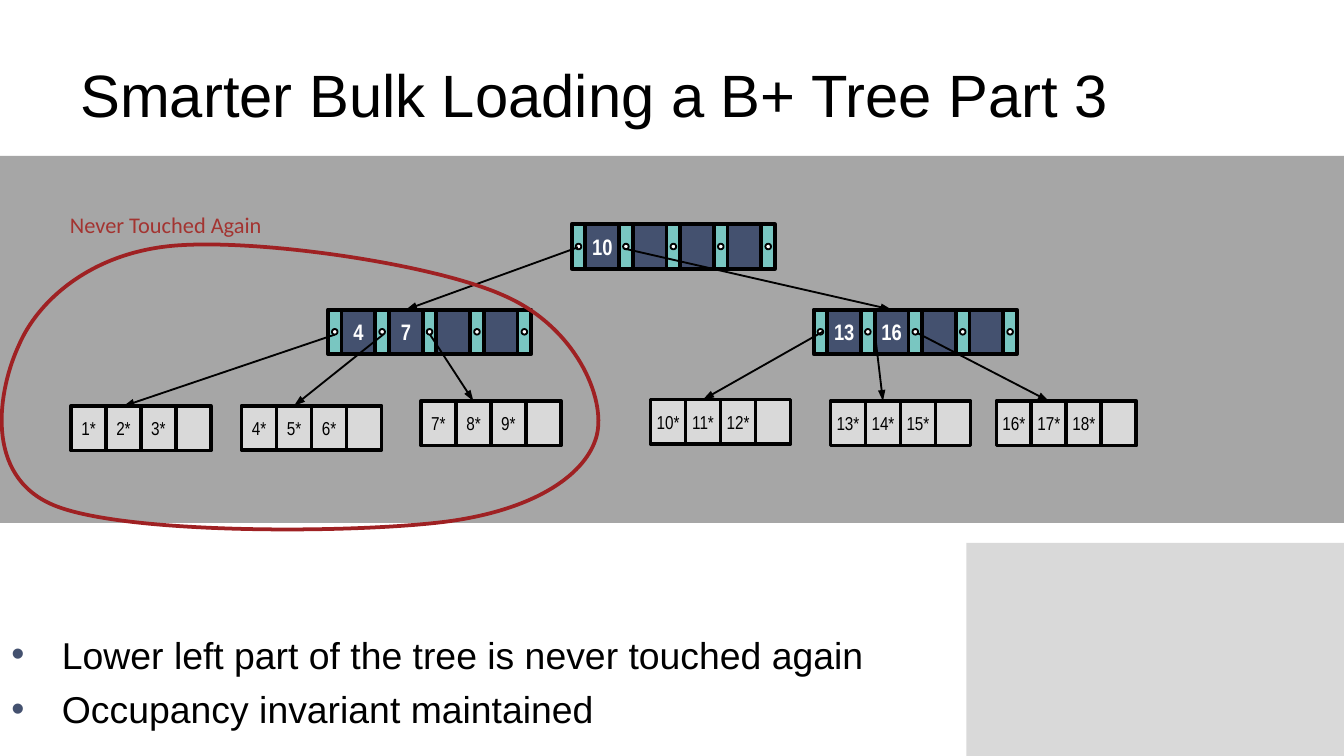
from lxml import etree
from pptx import Presentation
from pptx import util as u
from pptx.dml.color import RGBColor
from pptx.enum import shapes, text
from pptx.oxml import ns

BLACK = RGBColor(0x00, 0x00, 0x00)
WHITE = RGBColor(0xFF, 0xFF, 0xFF)
BAND_GREY = RGBColor(0xA6, 0xA6, 0xA6)
LIGHT_GREY = RGBColor(0xD9, 0xD9, 0xD9)
NAVY = RGBColor(0x44, 0x51, 0x6F)
TEAL = RGBColor(0x79, 0xC6, 0xC1)
LOOP_RED = RGBColor(0x9F, 0x21, 0x23)
LABEL_RED = RGBColor(0xA3, 0x34, 0x31)

CELL_HEIGHT = 23.8
KEY_WIDTH = 18.1
POINTER_WIDTH = 7.3
NODE_PITCH = KEY_WIDTH + POINTER_WIDTH
LEAF_WIDTH = 18.75
DOT_SIZE = 3

NODES = {
    "root": (306.3, 120.2, ["10"]),
    "left": (175.7, 165.9, ["4", "7"]),
    "right": (435.9, 165.9, ["13", "16"]),
}
LEAVES = [
    (38, 217.6, 1),
    (129.4, 217.4, 4),
    (225.5, 214.9, 7),
    (348.5, 214.1, 10),
    (444.9, 214.9, 13),
    (533.8, 214.9, 16),
]
LOOP_FRAME = (0.7, 131, 320.4, 152.6)
LOOP_START = (91.4, 131.8)
LOOP_CURVES = [
    [(135.4, 127.4), (231.8, 141.1), (270, 158.4)],
    [(308.2, 175), (324.7, 213.1), (319.7, 233.3)],
    [(314.6, 253.4), (288, 272.9), (239.8, 279.4)],
    [(191.5, 285.8), (67, 286.6), (28.8, 270.7)],
    [(-9.4, 254.9), (-0.7, 208.1), (10.1, 185)],
    [(20.2, 161.3), (48.2, 136.1), LOOP_START],
]


def add_shape(page, kind, left, top, width, height, fill, line_width=0):
    shape = page.shapes.add_shape(kind, u.Pt(left), u.Pt(top), u.Pt(width), u.Pt(height))
    shape.shadow.inherit = False
    shape.fill.solid()
    shape.fill.fore_color.rgb = fill
    if line_width:
        shape.line.color.rgb = BLACK
        shape.line.width = u.Pt(line_width)
    else:
        shape.line.fill.background()
    return shape


def style(para, font_name, size, color, bold=False):
    para.font.name = font_name
    para.font.size = u.Pt(size)
    para.font.color.rgb = color
    para.font.bold = bold


def add_cell(page, left, top, width, fill, label="", size=10, color=BLACK, bold=False):
    cell = add_shape(page, shapes.MSO_SHAPE.RECTANGLE, left, top, width, CELL_HEIGHT, fill, 2)
    if label:
        frame = cell.text_frame
        frame.margin_left = frame.margin_right = 0
        frame.vertical_anchor = text.MSO_ANCHOR.MIDDLE
        para = frame.paragraphs[0]
        para.text = label
        para.alignment = text.PP_ALIGN.CENTER
        style(para, "Arial Narrow", size, color, bold)
    return cell


def add_node(page, left, top, labels):
    keys = []
    for index in range(4):
        label = labels[index] if index < len(labels) else ""
        key_left = left + POINTER_WIDTH + index * NODE_PITCH
        keys.append(add_cell(page, key_left, top, KEY_WIDTH, NAVY, label, 12, WHITE, True))
    for index in range(5):
        pointer_left = left + index * NODE_PITCH
        add_cell(page, pointer_left, top, POINTER_WIDTH, TEAL)
        add_shape(page, shapes.MSO_SHAPE.OVAL,
                  pointer_left + (POINTER_WIDTH - DOT_SIZE) / 2,
                  top + (CELL_HEIGHT - DOT_SIZE) / 2,
                  DOT_SIZE, DOT_SIZE, WHITE, 1)
    return keys


def add_leaf(page, left, top, first):
    labels = [f"{first + index}*" for index in range(3)] + [""]
    return [add_cell(page, left + index * LEAF_WIDTH, top, LEAF_WIDTH, LIGHT_GREY, label)
            for index, label in enumerate(labels)]


def add_arrow(page, start, target):
    x, y = u.Pt(start[0]), u.Pt(start[1])
    arrow = page.shapes.add_connector(shapes.MSO_CONNECTOR.STRAIGHT, x, y, x, y)
    arrow.end_connect(target, 0)
    arrow.line.color.rgb = BLACK
    arrow.line.width = u.Pt(1)
    etree.SubElement(arrow.line._get_or_add_ln(), ns.qn("a:tailEnd"),
                     type="triangle", w="sm", len="med")
    etree.SubElement(arrow._element.spPr, ns.qn("a:effectLst"))
    return arrow


def add_text(page, left, top, width, height, anchor, lines, wrap=True):
    box = page.shapes.add_textbox(u.Pt(left), u.Pt(top), u.Pt(width), u.Pt(height))
    frame = box.text_frame
    frame.word_wrap = wrap
    frame.vertical_anchor = anchor
    frame.text = "\n".join(lines)
    return frame


def add_bullet(para):
    props = para._p.get_or_add_pPr()
    props.set("marL", str(u.Pt(27)))
    props.set("indent", str(u.Pt(-27)))
    color = etree.SubElement(props, ns.qn("a:buClr"))
    etree.SubElement(color, ns.qn("a:srgbClr"), val=str(NAVY))
    etree.SubElement(props, ns.qn("a:buFont"), typeface="Arial")
    etree.SubElement(props, ns.qn("a:buChar"), char="•")


def bend_outline(outline, left, top):
    for segment, points in zip(outline.findall(ns.qn("a:lnTo")), LOOP_CURVES):
        curve = etree.Element(ns.qn("a:cubicBezTo"))
        for x, y in points:
            etree.SubElement(curve, ns.qn("a:pt"), x=str(u.Pt(x - left)), y=str(u.Pt(y - top)))
        outline.replace(segment, curve)
    start = outline.find(ns.qn("a:moveTo")).find(ns.qn("a:pt"))
    start.set("x", str(u.Pt(LOOP_START[0] - left)))
    start.set("y", str(u.Pt(LOOP_START[1] - top)))


def add_loop(page):
    left, top, width, height = LOOP_FRAME
    builder = page.shapes.build_freeform(*LOOP_START, scale=u.Pt(1))
    builder.add_line_segments([points[-1] for points in LOOP_CURVES], close=True)
    loop = builder.convert_to_shape()
    loop.left, loop.top = u.Pt(left), u.Pt(top)
    loop.width, loop.height = u.Pt(width), u.Pt(height)
    outline = loop._element.find(".//" + ns.qn("a:path"))
    outline.set("w", str(u.Pt(width)))
    outline.set("h", str(u.Pt(height)))
    bend_outline(outline, left, top)
    loop.shadow.inherit = False
    loop.fill.background()
    loop.line.color.rgb = LOOP_RED
    loop.line.width = u.Pt(2)


def add_tree(page):
    keys = {name: add_node(page, *node) for name, node in NODES.items()}
    leaves = [add_leaf(page, *leaf) for leaf in LEAVES]
    links = [
        ((309.6, 132.5), keys["left"]),
        ((334.4, 133.2), keys["right"]),
        ((179.3, 179.3), leaves[0]),
        ((205.2, 179.3), leaves[1]),
        ((230.4, 179.3), leaves[2]),
        ((440.6, 177.8), leaves[3]),
        ((468.7, 177.8), leaves[4]),
        ((491.8, 178.6), leaves[5]),
    ]
    arrows = [add_arrow(page, start, cells[1]) for start, cells in links]
    arrows[6].begin_connect(keys["right"][1], 1)


def main():
    deck = Presentation()
    deck.slide_width, deck.slide_height = u.Pt(720), u.Pt(405)
    page = deck.slides.add_slide(deck.slide_layouts[6])

    add_shape(page, shapes.MSO_SHAPE.RECTANGLE, 517.7, 290.9, 202.3, 114.1, LIGHT_GREY)
    title = add_text(page, 36, 16.2, 648, 67.7, text.MSO_ANCHOR.MIDDLE,
                     ["Smarter Bulk Loading a B+ Tree Part 3"])
    style(title.paragraphs[0], "Arial", 32, BLACK)

    summary = add_text(page, -0.9, 278.4, 648, 116.6, text.MSO_ANCHOR.BOTTOM,
                       ["Lower left part of the tree is never touched again",
                        "Occupancy invariant maintained"])
    for para in summary.paragraphs:
        add_bullet(para)
        style(para, "Arial", 20, BLACK)
    summary.paragraphs[1].space_before = u.Pt(5)

    add_shape(page, shapes.MSO_SHAPE.RECTANGLE, 0, 83.6, 720, 196.6, BAND_GREY)
    add_tree(page)
    add_loop(page)
    label = add_text(page, 30.4, 109.6, 118, 21.8, text.MSO_ANCHOR.TOP,
                     ["Never Touched Again"], wrap=False)
    label.auto_size = text.MSO_AUTO_SIZE.SHAPE_TO_FIT_TEXT
    style(label.paragraphs[0], "Calibri", 12, LABEL_RED)

    deck.save("out.pptx")


if __name__ == "__main__":
    main()
